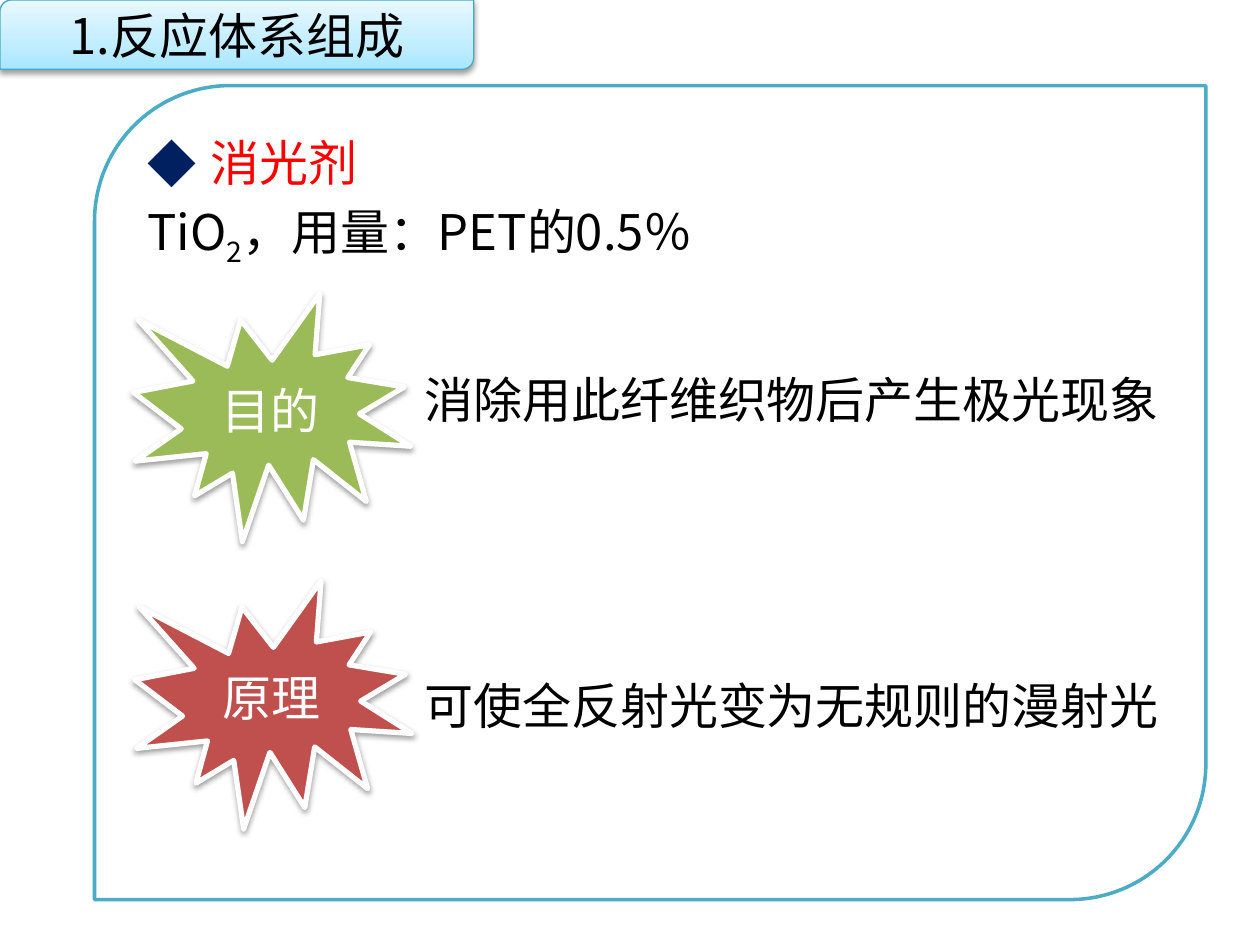
import lxml.etree
import pptx
import pptx.dml.color
import pptx.enum.shapes
import pptx.enum.text
import pptx.oxml
import pptx.oxml.ns
import pptx.util

Inches = pptx.util.Inches
SHAPES = pptx.enum.shapes.MSO_SHAPE
FONT = "Noto Sans CJK SC"
BLACK, WHITE, RED, NAVY = "000000", "FFFFFF", "FF0000", "002060"


def rgb(color):
    return pptx.dml.color.RGBColor.from_string(color)


def add_child(parent, tag, **attributes):
    child = lxml.etree.SubElement(parent, pptx.oxml.ns.qn(tag))
    for name, value in attributes.items():
        child.set(name, value)
    return child


def format_runs(paragraph, color):
    for run in paragraph.runs:
        run.font.size = pptx.util.Pt(28)
        run.font.color.rgb = rgb(color)
        run.font.name = FONT
        add_child(run.font._element, "a:ea", typeface=FONT)


def add_outline_shape(slide, kind, box, line_color, line_width):
    shape = slide.shapes.add_shape(kind, *map(Inches, box))
    shape.shadow.inherit = False
    shape.fill.background()
    shape.line.color.rgb = rgb(line_color)
    shape.line.width = pptx.util.Pt(line_width)
    return shape


def add_shadow(shape):
    effects = shape._element.spPr.find(pptx.oxml.ns.qn("a:effectLst"))
    shadow = add_child(effects, "a:outerShdw", blurRad="40000", dist="20000",
                       dir="5400000", rotWithShape="0")
    color = add_child(shadow, "a:srgbClr", val=BLACK)
    add_child(color, "a:alpha", val="38000")


def fill_gradient(shape, stops):
    """Fill from bottom to top with (percent, colour) stops."""
    shape.fill.gradient()
    shape.fill.gradient_angle = 90
    stop_list = shape._element.spPr.find(".//" + pptx.oxml.ns.qn("a:gsLst"))
    for old_stop in list(stop_list):
        stop_list.remove(old_stop)
    for percent, color in stops:
        stop = add_child(stop_list, "a:gs", pos=str(percent * 1000))
        add_child(stop, "a:srgbClr", val=color)


def place_placeholder(placeholder, box):
    """Move a placeholder to the box and to the front."""
    placeholder.left, placeholder.top, placeholder.width, placeholder.height = map(Inches, box)
    placeholder.text_frame.word_wrap = True
    placeholder.text_frame.auto_size = pptx.enum.text.MSO_AUTO_SIZE.NONE
    element = placeholder._element
    element.getparent().append(element)


def add_title(slide):
    box = (0, 0, 3.76, 0.55)
    banner = add_outline_shape(slide, SHAPES.ROUND_2_DIAG_RECTANGLE, box, "46AAC5", 0.75)
    fill_gradient(banner, [(0, "A7E6FF"), (35, "C1EDFF"), (100, "E7F8FF")])
    add_shadow(banner)
    title = slide.shapes.title
    place_placeholder(title, box)
    title.text_frame.text = "1.反应体系组成"
    title.text_frame.paragraphs[0].alignment = pptx.enum.text.PP_ALIGN.CENTER
    format_runs(title.text_frame.paragraphs[0], BLACK)


def set_bullet(paragraph, indent, color=None, character=None):
    properties = paragraph._element.get_or_add_pPr()
    properties.set("marL", str(Inches(indent)))
    properties.set("indent", str(-Inches(indent)))
    if character is None:
        add_child(properties, "a:buNone")
        return
    bullet_color = add_child(properties, "a:buClr")
    add_child(bullet_color, "a:srgbClr", val=color)
    add_child(properties, "a:buFont", typeface=FONT)
    add_child(properties, "a:buChar", char=character)


def add_body(slide):
    add_outline_shape(slide, SHAPES.ROUND_2_DIAG_RECTANGLE,
                      (0.75, 0.68, 8.82, 6.46), "4BACC6", 2)
    body = slide.placeholders[1]
    place_placeholder(body, (1.07, 1, 8.19, 1.2))
    heading = body.text_frame.paragraphs[0]
    heading.text = "消光剂"
    set_bullet(heading, 0.5, NAVY, "◆")
    heading.space_before = pptx.util.Pt(0)
    format_runs(heading, RED)

    dosage = body.text_frame.add_paragraph()
    for text in ("TiO", "2", "，用量：PET的0.5％"):
        dosage.add_run().text = text
    set_bullet(dosage, 0)
    dosage.space_before = pptx.util.Pt(6)
    format_runs(dosage, BLACK)
    dosage.runs[1].font._element.set("baseline", "-25000")


def add_burst(slide, left, top, color, label):
    burst = add_outline_shape(slide, SHAPES.EXPLOSION1, (left, top, 2.2, 1.97), WHITE, 3)
    burst.fill.solid()
    burst.fill.fore_color.rgb = rgb(color)
    add_shadow(burst)
    burst.text_frame.text = label
    burst.text_frame.vertical_anchor = pptx.enum.text.MSO_ANCHOR.MIDDLE
    burst.text_frame.paragraphs[0].alignment = pptx.enum.text.PP_ALIGN.CENTER
    format_runs(burst.text_frame.paragraphs[0], WHITE)


def add_statement(slide, top, text):
    box = slide.shapes.add_textbox(*map(Inches, (3.27, top, 6.09, 0.57)))
    box.text_frame.word_wrap = False
    box.text_frame.auto_size = pptx.enum.text.MSO_AUTO_SIZE.SHAPE_TO_FIT_TEXT
    box.text_frame.text = text
    format_runs(box.text_frame.paragraphs[0], BLACK)


def main():
    presentation = pptx.Presentation()
    presentation.slide_width = Inches(10)
    presentation.slide_height = Inches(7.5)
    slide = presentation.slides.add_slide(presentation.slide_layouts[1])
    add_title(slide)
    add_body(slide)
    add_burst(slide, 1.06, 2.33, "9BBB59", "目的")
    add_statement(slide, 2.88, "消除用此纤维织物后产生极光现象")
    add_burst(slide, 1.07, 4.61, "C0504D", "原理")
    add_statement(slide, 5.31, "可使全反射光变为无规则的漫射光")
    presentation.save("out.pptx")


if __name__ == "__main__":
    main()
